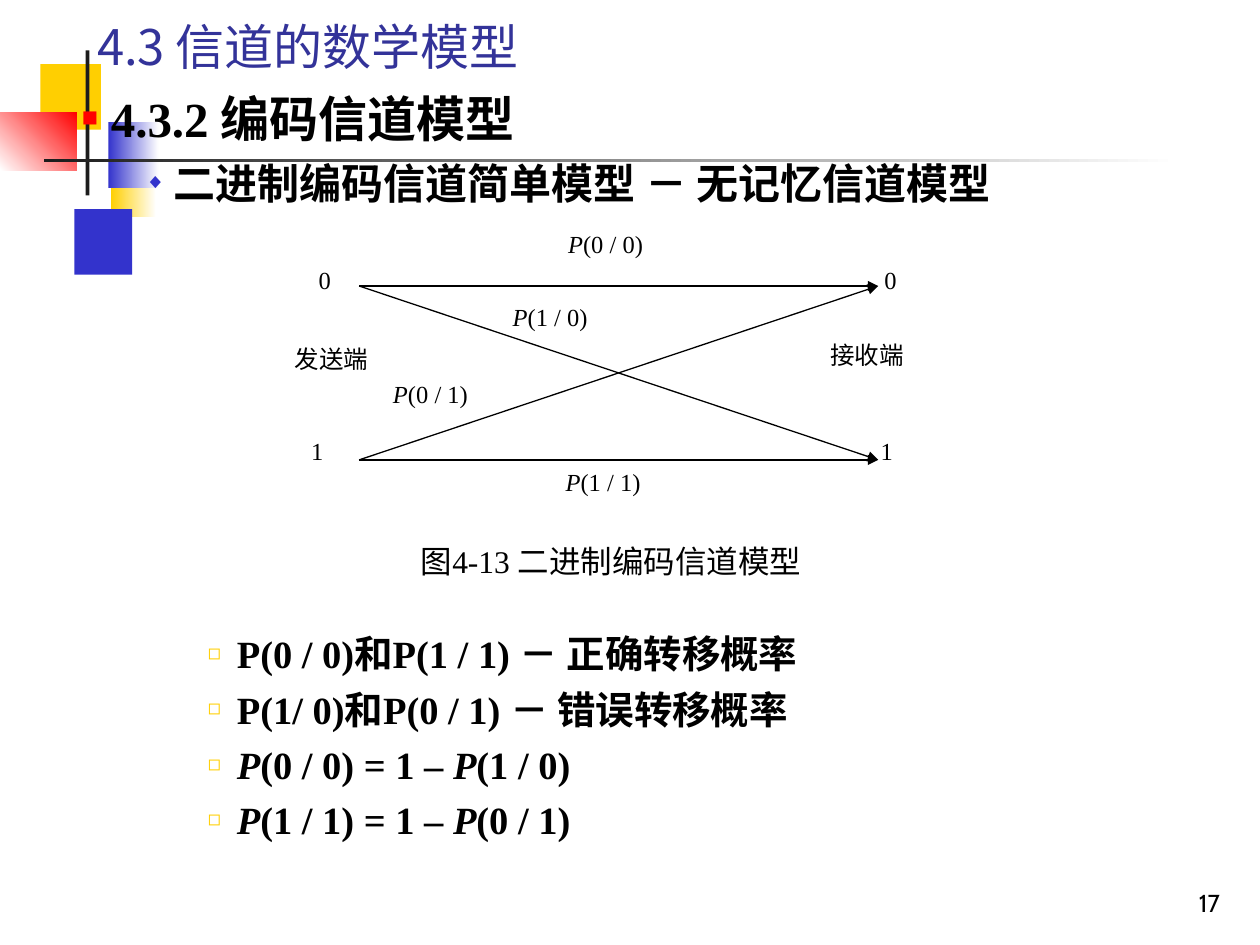
from dataclasses import dataclass

from lxml import etree
from pptx import Presentation
from pptx.dml.color import RGBColor
from pptx.enum.shapes import MSO_CONNECTOR, MSO_SHAPE
from pptx.enum.text import MSO_ANCHOR, MSO_AUTO_SIZE, PP_ALIGN
from pptx.oxml.ns import qn
from pptx.util import Inches, Pt

RECTANGLE = MSO_SHAPE.RECTANGLE
STRAIGHT = MSO_CONNECTOR.STRAIGHT
TOP, BOTTOM = MSO_ANCHOR.TOP, MSO_ANCHOR.BOTTOM
LEFT, CENTER, RIGHT = PP_ALIGN.LEFT, PP_ALIGN.CENTER, PP_ALIGN.RIGHT
JUSTIFY = PP_ALIGN.JUSTIFY
NO_AUTOFIT = MSO_AUTO_SIZE.NONE


@dataclass(frozen=True)
class Theme:
    black: str = "000000"
    white: str = "FFFFFF"
    dark: str = "1C1C1C"
    blue: str = "3333CC"
    red: str = "FF0000"
    yellow: str = "FFCF01"
    title_color: str = "333399"
    title_font: str = "Noto Sans CJK SC"
    text_font: str = "Times New Roman"
    number_font: str = "Cabin"
    title_size: int = 28
    level_sizes: tuple = (28, 24, 22)
    caption_size: int = 18
    label_size: int = 14


THEME = Theme()

# Bullet character, colour and percent size of each list level
BULLETS = (("■", THEME.red, 55), ("◆", THEME.blue, 50), ("◻", THEME.yellow, 55))


def color(value):
    return RGBColor.from_string(value)


def write_text(para, text, font=THEME.text_font, size=THEME.label_size,
               fill=THEME.black, bold=False, align=LEFT):
    """Write text into a paragraph; parts between asterisks are italic."""
    para.alignment = align
    for index, part in enumerate(text.split("*")):
        if part:
            span = para.add_run()
            span.text = part
            span.font.name = font
            span.font.size = Pt(size)
            span.font.bold = bold
            span.font.italic = index % 2 == 1
            span.font.color.rgb = color(fill)


class SlideBuilder:
    def __init__(self, page, theme):
        self.page = page
        self.theme = theme

    def prepare(self, box, at, anchor=TOP):
        box.left, box.top, box.width, box.height = map(Inches, at)
        frame = box.text_frame
        frame.word_wrap = True
        frame.auto_size = NO_AUTOFIT
        frame.vertical_anchor = anchor
        return frame

    def bring_to_front(self, shape):
        self.page.shapes._spTree.append(shape._element)

    def block(self, at, *colors, angle=0):
        """Draw a plain rectangle, or a gradient one if two colours are given."""
        shape = self.page.shapes.add_shape(RECTANGLE, *map(Inches, at))
        shape.shadow.inherit = False
        shape.line.fill.background()
        if len(colors) == 1:
            shape.fill.solid()
            shape.fill.fore_color.rgb = color(colors[0])
        else:
            shape.fill.gradient()
            shape.fill.gradient_angle = angle
            for stop, value in zip(shape.fill.gradient_stops, colors):
                stop.color.rgb = color(value)

    def title(self, at, text):
        box = self.page.shapes.title
        frame = self.prepare(box, at, BOTTOM)
        write_text(frame.paragraphs[0], text, font=self.theme.title_font,
                   size=self.theme.title_size, fill=self.theme.title_color)
        self.bring_to_front(box)

    def bullet(self, para, level):
        char, fill, percent = BULLETS[level]
        props = para._p.get_or_add_pPr()
        props.set("marL", str(Inches(0.5 * (level + 1))))
        props.set("indent", str(Inches(-0.23)))
        tint = etree.SubElement(props, qn("a:buClr"))
        etree.SubElement(tint, qn("a:srgbClr"), val=fill)
        etree.SubElement(props, qn("a:buSzPct"), val=str(percent * 1000))
        etree.SubElement(props, qn("a:buChar"), char=char)

    def body(self, at, items):
        box = self.page.placeholders[1]
        frame = self.prepare(box, at)
        for index, (level, space, text) in enumerate(items):
            para = frame.add_paragraph() if index else frame.paragraphs[0]
            para.level = level
            self.bullet(para, level)
            para.space_before = Pt(space)
            write_text(para, text, size=self.theme.level_sizes[level], bold=True)
        self.bring_to_front(box)

    def label(self, at, text, anchor=TOP, **style):
        box = self.page.shapes.add_textbox(*map(Inches, at))
        frame = self.prepare(box, at, anchor)
        write_text(frame.paragraphs[0], text, **style)

    def arrow(self, start, end):
        line = self.page.shapes.add_connector(STRAIGHT, *map(Inches, start + end))
        line.line.color.rgb = color(self.theme.black)
        line.line.width = Pt(0.75)
        etree.SubElement(line.line._get_or_add_ln(), qn("a:tailEnd"), type="triangle")
        etree.SubElement(line._element.spPr, qn("a:effectLst"))


def main():
    deck = Presentation()
    deck.slide_width, deck.slide_height = Inches(10), Inches(7.5)
    page = deck.slides.add_slide(deck.slide_layouts[1])
    builder = SlideBuilder(page, THEME)

    # Corner decoration and rule
    builder.block((0.88, 1.2, 0.36, 0.52), THEME.yellow, THEME.white)
    builder.block((0.59, 1.66, 0.46, 0.52), THEME.blue)
    builder.block((0.32, 0.51, 0.48, 0.52), THEME.yellow)
    builder.block((0.86, 0.97, 0.4, 0.52), THEME.blue, THEME.white)
    builder.block((0, 0.89, 0.61, 0.46), THEME.white, THEME.red, angle=45)
    builder.block((0.68, 0.4, 0.03, 1.15), THEME.dark)
    builder.block((0.35, 1.26, 9, 0.03), THEME.dark, THEME.white)

    # Headings and list; the wide space before the third item holds the diagram
    builder.body((0.28, 0.65, 9.29, 6.16), (
        (0, 0, "4.3.2 编码信道模型"),
        (1, 6, "二进制编码信道简单模型 － 无记忆信道模型"),
        (2, 241, "P(0 / 0)和P(1 / 1) － 正确转移概率"),
        (2, 5.5, "P(1/ 0)和P(0 / 1) － 错误转移概率"),
        (2, 5.5, "*P*(0 / 0) = 1 – *P*(1 / 0)"),
        (2, 5, "*P*(1 / 1) = 1 – *P*(0 / 1)"),
    ))

    # Transition probabilities
    for left, top, text in ((3.97, 2.35, "*P*(1 / 0)"), (3.02, 2.96, "*P*(0 / 1)"),
                            (4.41, 1.77, "*P*(0 / 0)"), (4.39, 3.66, "*P*(1 / 1)")):
        builder.label((left, top, 1.09, 0.49), text, align=JUSTIFY)

    # Symbols and ends of the channel
    for left, top, width, text in (
            (2.43, 2.05, 0.59, "0"), (6.92, 2.05, 0.59, "0"),
            (6.89, 3.41, 0.59, "1"), (2.37, 3.41, 0.59, "1"),
            (2.24, 2.68, 1.02, "发送端"), (6.49, 2.65, 1.02, "接收端")):
        builder.label((left, top, width, 0.41), text, align=JUSTIFY)

    # Every sent symbol leads to every received one
    sent, received, high, low = 2.85, 6.97, 2.27, 3.65
    for start in (high, low):
        for end in (high, low):
            builder.arrow((sent, start), (received, end))

    # Caption, title and page number
    builder.label((2.71, 4.25, 4.28, 0.61), "图4-13 二进制编码信道模型",
                  size=THEME.caption_size, align=CENTER)
    builder.title((0.67, -0.03, 8.52, 0.68), "4.3 信道的数学模型")
    builder.label((7.7, 6.83, 2.08, 0.5), "17", anchor=BOTTOM,
                  font=THEME.number_font, align=RIGHT)

    deck.save("out.pptx")


if __name__ == "__main__":
    main()
